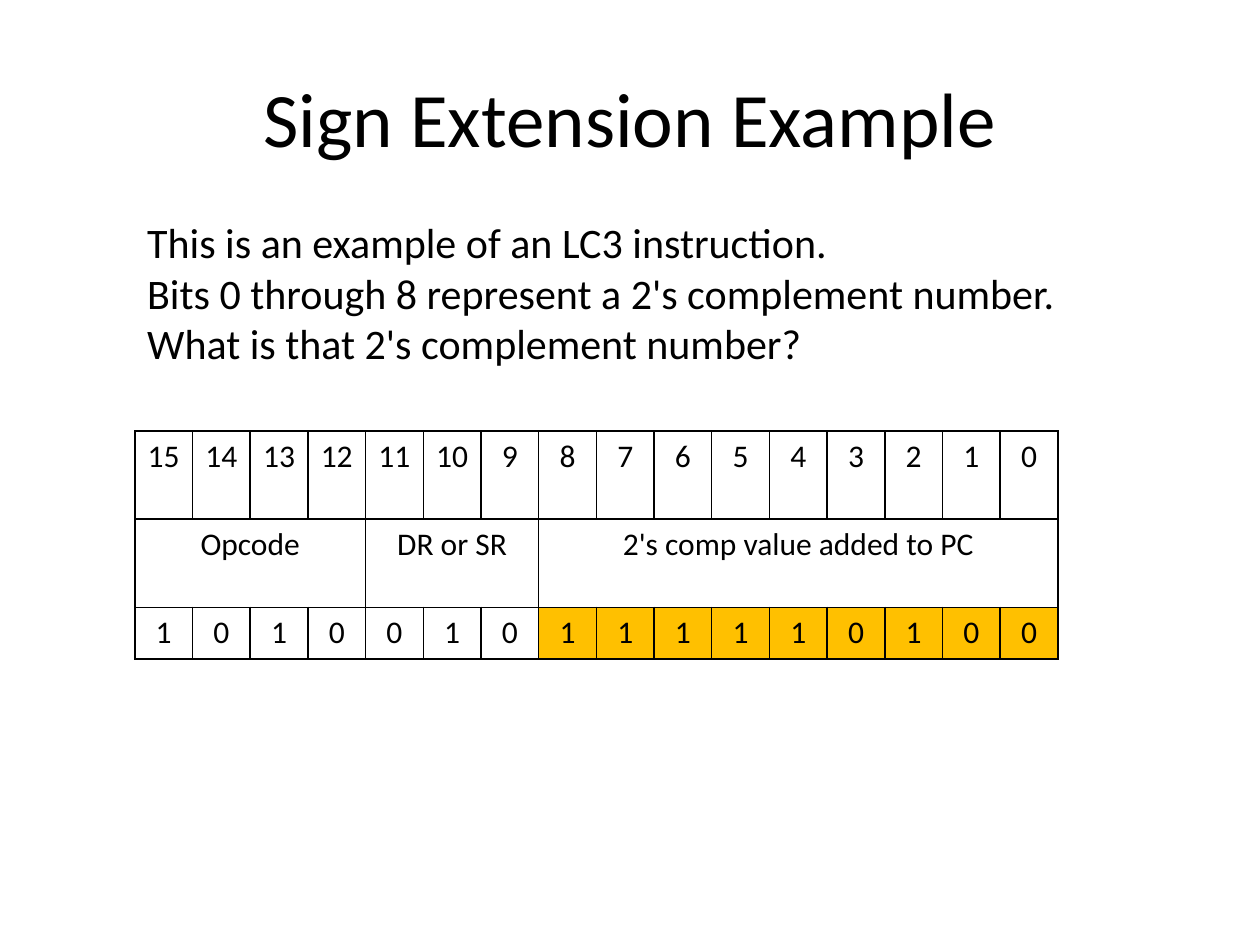
from lxml import etree
from pptx import Presentation
from pptx import util as u
from pptx.dml.color import RGBColor
from pptx.enum import text
from pptx.oxml.ns import qn

BLACK, AMBER = "000000", "FFC000"
FONT = "Calibri"
INTRO = [
    "This is an example of an LC3 instruction.",
    "Bits 0 through 8 represent a 2's complement number.",
    "What is that 2's complement number?",
]
FIELDS = [("Opcode", 4), ("DR or SR", 3), ("2's comp value added to PC", 9)]
BITS = "1010010111110100"
OFFSET_START = len(BITS) - FIELDS[-1][1]
ROW_HEIGHTS = [0.7, 0.7, 0.41]


def color(value):
    return RGBColor.from_string(value)


def inches(box):
    return [u.Inches(v) for v in box]


def style(p, size, align):
    p.alignment = align
    p.font.size = u.Pt(size)
    p.font.name = FONT
    p.font.color.rgb = color(BLACK)


def add_title(s, box, title):
    sp = s.shapes.title
    sp.left, sp.top, sp.width, sp.height = inches(box)
    tf = sp.text_frame
    tf.text = title
    tf.vertical_anchor = text.MSO_ANCHOR.MIDDLE
    style(tf.paragraphs[0], 44, text.PP_ALIGN.CENTER)


def add_intro(s, box, lines):
    tf = s.shapes.add_textbox(*inches(box)).text_frame
    tf.word_wrap = False
    tf.auto_size = text.MSO_AUTO_SIZE.SHAPE_TO_FIT_TEXT
    tf.text = "\n".join(lines)
    for p in tf.paragraphs:
        style(p, 24, text.PP_ALIGN.LEFT)


def set_borders(cell):
    tc_pr = cell._tc.get_or_add_tcPr()
    for side in ("a:lnL", "a:lnR", "a:lnT", "a:lnB"):
        ln = etree.SubElement(tc_pr, qn(side), w=str(u.Pt(1)))
        fill = etree.SubElement(ln, qn("a:solidFill"))
        etree.SubElement(fill, qn("a:srgbClr"), val=BLACK)


def format_cell(cell, fill):
    set_borders(cell)
    if fill:
        cell.fill.solid()
        cell.fill.fore_color.rgb = color(fill)
    else:
        cell.fill.background()
    style(cell.text_frame.paragraphs[0], 18, text.PP_ALIGN.CENTER)


def add_instruction(s, box):
    count = len(BITS)
    table = s.shapes.add_table(len(ROW_HEIGHTS), count, *inches(box)).table
    table.first_row = table.horz_banding = False
    for row, height in zip(table.rows, ROW_HEIGHTS):
        row.height = u.Inches(height)
    for i, bit in enumerate(BITS):
        table.columns[i].width = u.Inches(box[2] / count)
        table.cell(0, i).text = str(count - 1 - i)
        table.cell(2, i).text = bit
    start = 0
    for name, span in FIELDS:
        table.cell(1, start).merge(table.cell(1, start + span - 1))
        table.cell(1, start).text = name
        start += span
    for r in range(len(ROW_HEIGHTS)):
        for c in range(count):
            is_offset = r == 2 and c >= OFFSET_START
            format_cell(table.cell(r, c), AMBER if is_offset else None)


def main():
    prs = Presentation()
    prs.slide_width, prs.slide_height = inches((10, 7.5))
    s = prs.slides.add_slide(prs.slide_layouts[5])
    add_title(s, (0.5, 0.3, 9, 1.25), "Sign Extension Example")
    add_instruction(s, (1.07, 3.42, 7.33, sum(ROW_HEIGHTS)))
    add_intro(s, (1.07, 1.67, 7.47, 1.31), INTRO)
    prs.save("out.pptx")


if __name__ == "__main__":
    main()
